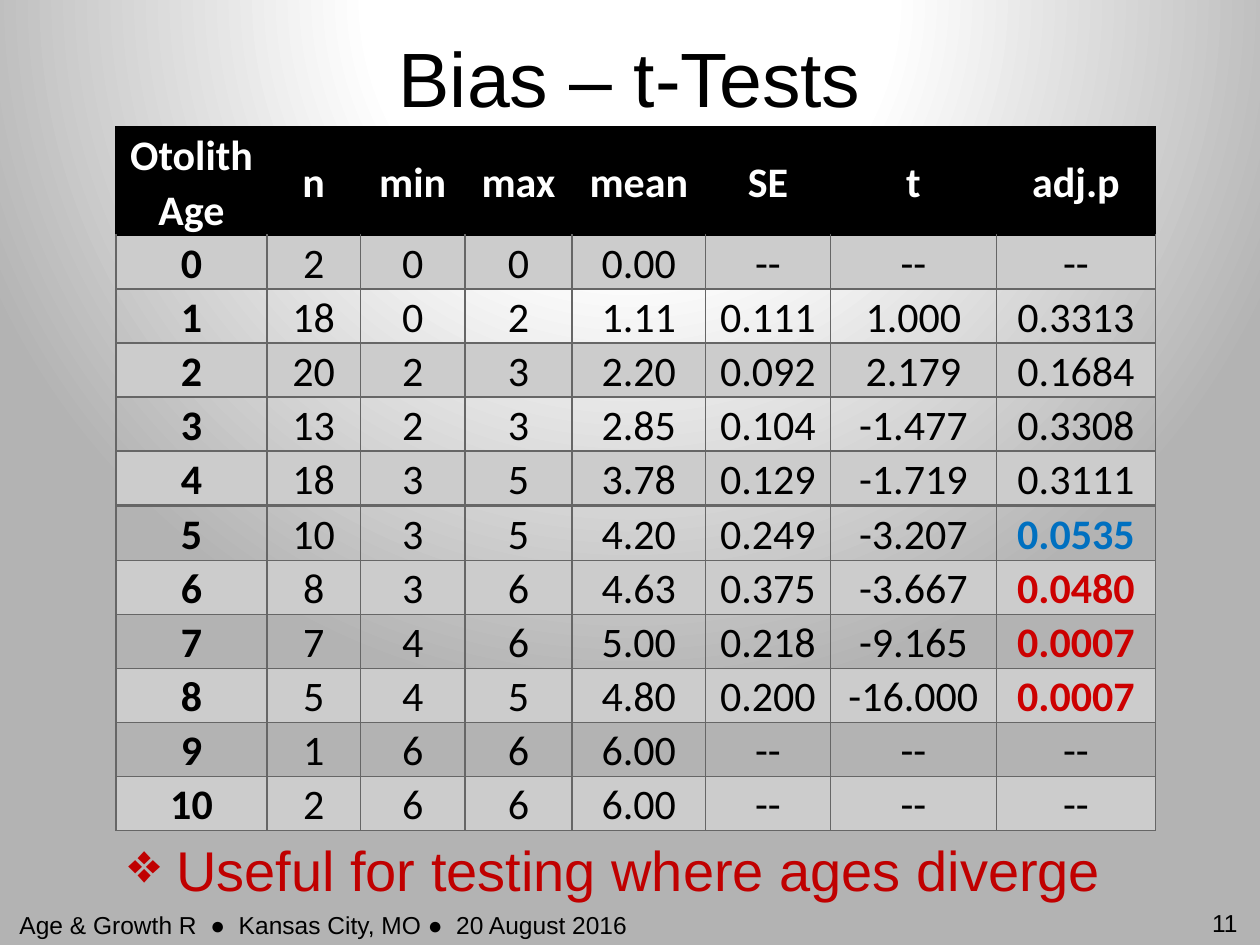
import pptx
import pptx.util
import pptx.dml.color
import pptx.enum.text
import pptx.oxml
import pptx.oxml.ns

HUE = {"ink": "000000", "pale": "FFFFFF", "band": "CCCCCC", "edge": "666666",
       "near": "0070C0", "low": "CC0000", "note": "C00000", "gray": "B3B3B3"}
SIZE = (10, 7.5)
HEAD = ["Otolith\nAge", "n", "min", "max", "mean", "SE", "t", "adj.p"]
YOUNG = [
    ["0", "2", "0", "0", "0.00", "--", "--", "--"],
    ["1", "18", "0", "2", "1.11", "0.111", "1.000", "0.3313"],
    ["2", "20", "2", "3", "2.20", "0.092", "2.179", "0.1684"],
    ["3", "13", "2", "3", "2.85", "0.104", "-1.477", "0.3308"],
    ["4", "18", "3", "5", "3.78", "0.129", "-1.719", "0.3111"],
]
OLD = [
    ["5", "10", "3", "5", "4.20", "0.249", "-3.207", "0.0535"],
    ["6", "8", "3", "6", "4.63", "0.375", "-3.667", "0.0480"],
    ["7", "7", "4", "6", "5.00", "0.218", "-9.165", "0.0007"],
    ["8", "5", "4", "5", "4.80", "0.200", "-16.000", "0.0007"],
    ["9", "1", "6", "6", "6.00", "--", "--", "--"],
    ["10", "2", "6", "6", "6.00", "--", "--", "--"],
]
MARKS = {"0.0535": "near", "0.0480": "low", "0.0007": "low"}
COLS = [1.2, 0.74, 0.83, 0.85, 1.06, 0.99, 1.32, 1.26]
LEFT, ROW, TALL = 0.92, 0.42, 0.85
PLAIN = "{2D5ABB26-0587-4C30-8999-92F81FD0307C}"

inch = pptx.util.Inches
ALIGN = pptx.enum.text.PP_ALIGN
MID = pptx.enum.text.MSO_ANCHOR.MIDDLE
NS = pptx.oxml.ns.nsdecls("a")


def rgb(name):
    return pptx.dml.color.RGBColor.from_string(HUE[name])


def style(para, size, face, hue, align, bold=False):
    para.alignment = align
    font = para.font
    font.size, font.name, font.bold = pptx.util.Pt(size), face, bold
    font.color.rgb = rgb(hue)


def paint(slide):
    stops = "".join(f'<a:gs pos="{pos}000"><a:srgbClr val="{HUE[hue]}"/></a:gs>'
                    for pos, hue in [(0, "pale"), (33, "pale"), (90, "gray")])
    slide.background.fill.solid()
    old = slide.background.fill._xPr
    old.remove(old[0])
    old.insert(0, pptx.oxml.parse_xml(
        f'<a:gradFill {NS} rotWithShape="1"><a:gsLst>{stops}</a:gsLst>'
        '<a:path path="circle"><a:fillToRect l="50000" t="-80000" '
        'r="50000" b="180000"/></a:path></a:gradFill>'))


def label(slide, text, box, size, hue, align):
    shape = slide.shapes.add_textbox(*map(inch, box))
    frame = shape.text_frame
    frame.word_wrap = True
    frame.text = text
    style(frame.paragraphs[0], size, "Arial", hue, align)
    return frame


def edge(cell, hues):
    props = cell._tc.get_or_add_tcPr()
    for spot, (side, hue) in enumerate(zip("LRTB", hues)):
        props.insert(spot, pptx.oxml.parse_xml(
            f'<a:ln{side} {NS} w="12700"><a:solidFill>'
            f'<a:srgbClr val="{HUE[hue]}"/></a:solidFill></a:ln{side}>'))


def grid(slide, top, rows, titled):
    highs = [TALL if titled and r == 0 else ROW for r in range(len(rows))]
    table = slide.shapes.add_table(len(rows), len(COLS), inch(LEFT), inch(top),
                                   inch(sum(COLS)), inch(sum(highs))).table
    table._tbl.tblPr.find(pptx.oxml.ns.qn("a:tableStyleId")).text = PLAIN
    table.first_row, table.horz_banding = titled, False
    for col, wide in zip(table.columns, COLS):
        col.width = inch(wide)
    for r, (row, high) in enumerate(zip(rows, highs)):
        table.rows[r].height = inch(high)
        head = titled and r == 0
        for c, text in enumerate(row):
            cell = table.cell(r, c)
            cell.margin_left = cell.margin_right = inch(0.07)
            cell.margin_top = cell.margin_bottom = 0
            cell.text = text
            hue = "pale" if head else MARKS.get(text, "ink")
            for para in cell.text_frame.paragraphs:
                style(para, 24, "Calibri", hue, ALIGN.CENTER,
                      head or c == 0 or text in MARKS)
                para.line_spacing = 1.07
            if head:
                cell.vertical_anchor = MID
            if r % 2 and not head or head:
                cell.fill.solid()
                cell.fill.fore_color.rgb = rgb("ink" if head else "band")
            else:
                cell.fill.background()
            side = "ink" if head else "edge"
            roof = "ink" if titled and r < 2 else "edge"
            edge(cell, [side, side, roof, side])


def main():
    deck = pptx.Presentation()
    deck.slide_width, deck.slide_height = map(inch, SIZE)
    slide = deck.slides.add_slide(deck.slide_layouts[6])
    paint(slide)
    title = label(slide, "Bias – t-Tests", (0.07, 0.13, 9.86, 0.95), 44, "ink", ALIGN.CENTER)
    title.vertical_anchor = MID
    label(slide, "Age & Growth R  ●  Kansas City, MO ●  20 August 2016",
          (0, 7.17, 5.08, 0.33), 14, "ink", ALIGN.RIGHT)
    label(slide, "11", (9.25, 7.16, 0.67, 0.34), 14, "ink", ALIGN.RIGHT)
    grid(slide, 1.01, [HEAD] + YOUNG, True)
    grid(slide, 4.02, OLD, False)
    note = label(slide, "Useful for testing where ages diverge",
                 (LEFT, 6.58, 9, 0.67), 32, "note", ALIGN.LEFT)
    props = note.paragraphs[0]._p.get_or_add_pPr()
    props.set("marL", str(inch(0.38)))
    props.set("indent", str(inch(-0.38)))
    props.insert(0, pptx.oxml.parse_xml(f'<a:buChar {NS} char="❖"/>'))
    note.paragraphs[0].space_before = pptx.util.Pt(6.4)
    deck.save("out.pptx")


if __name__ == "__main__":
    main()
